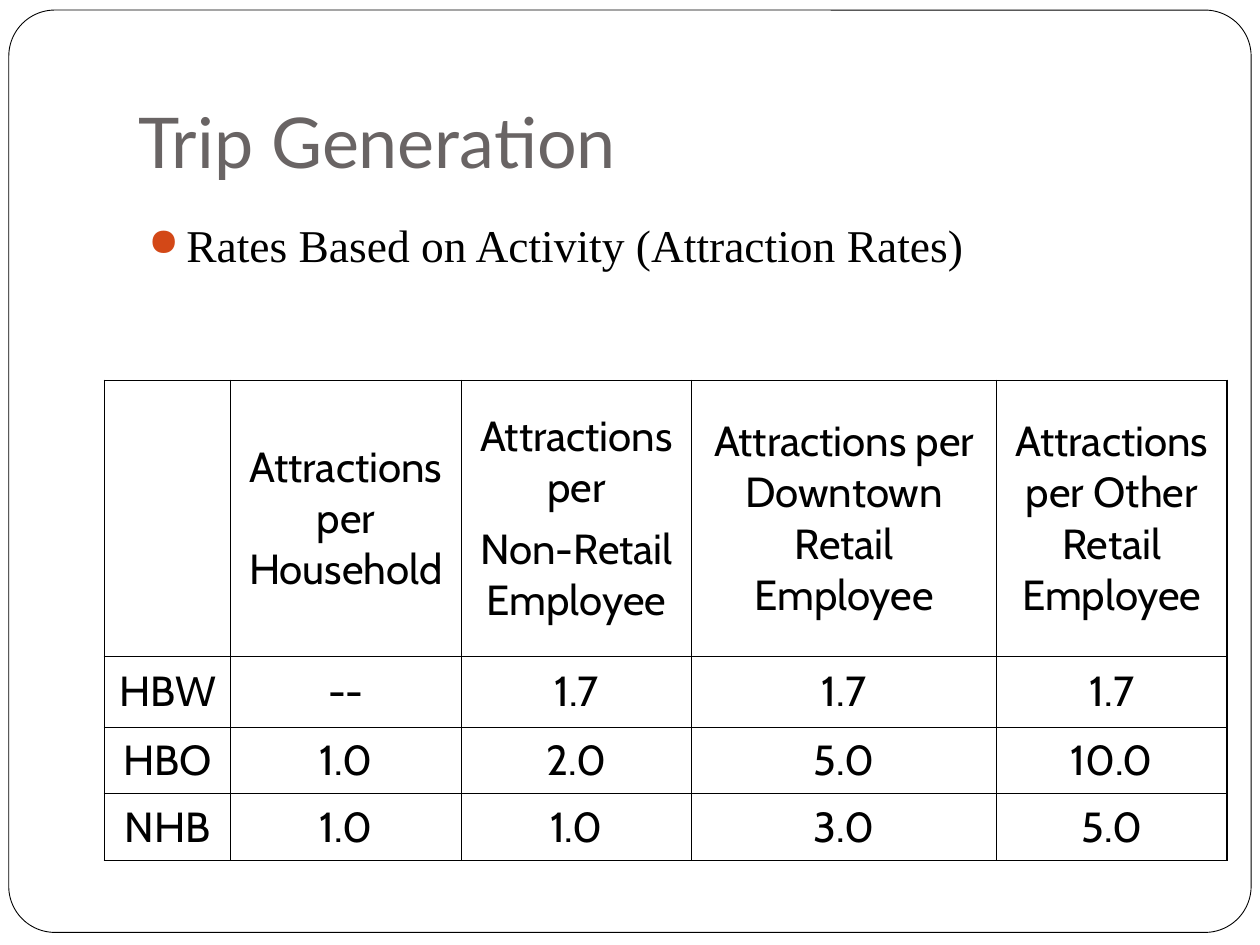
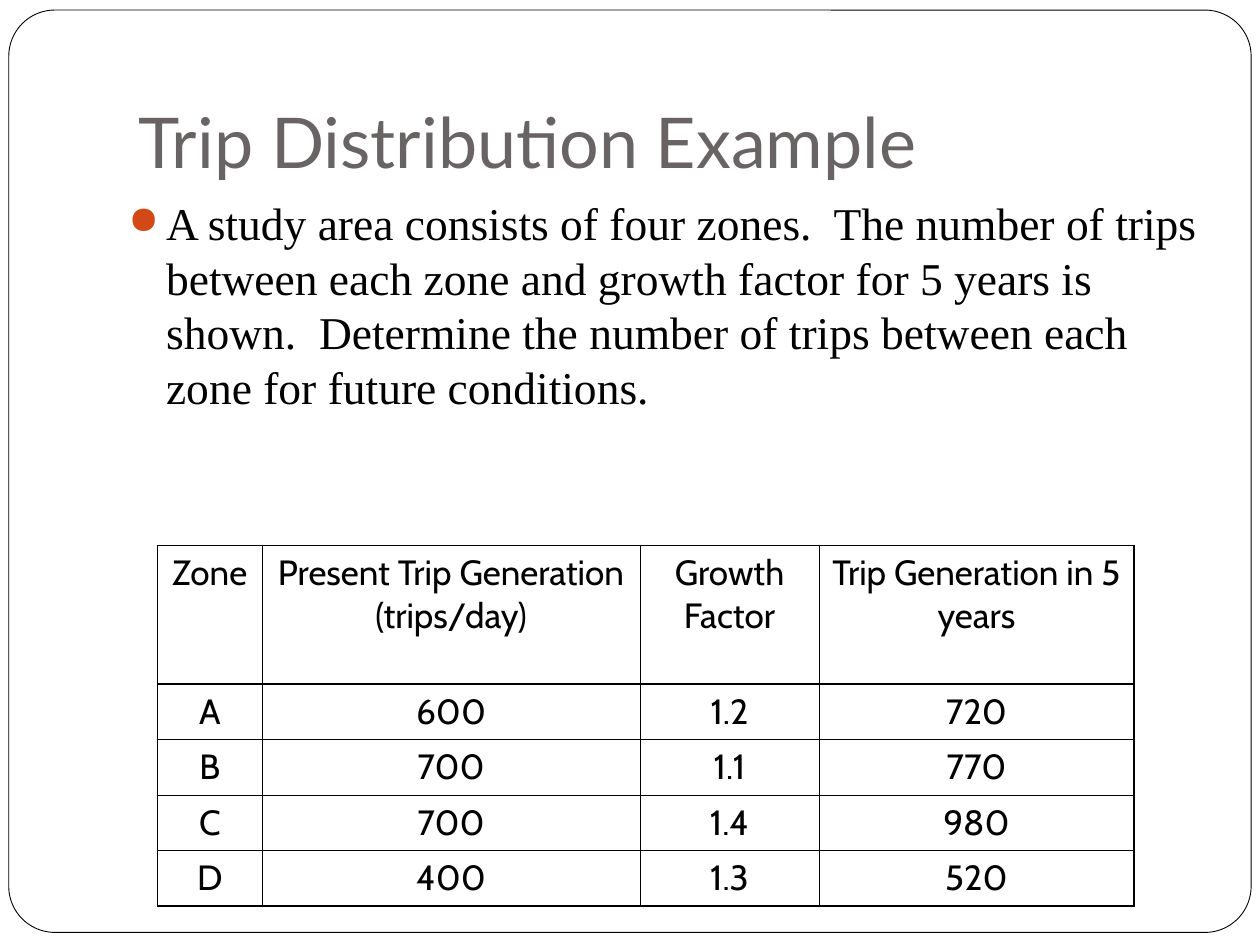
from lxml import etree
from pptx import Presentation
from pptx.dml.color import RGBColor as RGB
from pptx.enum.shapes import MSO_SHAPE as SHAPE
from pptx.enum.text import MSO_ANCHOR as ANCHOR, PP_ALIGN as ALIGN
from pptx.oxml.ns import qn
from pptx.util import Inches, Pt

COLORS = {"page": "FFFFFF", "ink": "000000", "title": "696464", "bullet": "D34817"}
THIN, OUTER = 0.45, 1.08

SLIDES = [
    {
        "title": "Trip Generation",
        "body": "Rates Based on Activity (Attraction Rates)",
        "body_at": (1.08, 1.67, 8.25, 1.25),
        "table_at": (0.83, 3.02),
        "cols": [1, 1.83, 1.83, 2.42, 1.83],
        "rows": [2.19, 0.56, 0.53, 0.53],
        "size": 24, "space": 6, "anchor": ANCHOR.MIDDLE, "header_rule": THIN,
        "cells": [
            ["", "Attractions per Household", "Attractions per\nNon-Retail Employee",
             "Attractions per Downtown Retail Employee",
             "Attractions per Other Retail Employee"],
            ["HBW", "--", "1.7", "1.7", "1.7"],
            ["HBO", "1.0", "2.0", "5.0", "10.0"],
            ["NHB", "1.0", "1.0", "3.0", "5.0"],
        ],
    },
    {
        "title": "Trip Distribution Example",
        "body": "A study area consists of four zones.  The number of trips between each "
                "zone and growth factor for 5 years is shown.  Determine the number of "
                "trips between each zone for future conditions.",
        "body_at": (0.92, 1.5, 8.83, 4.5),
        "table_at": (1.25, 4.33),
        "cols": [0.83, 3, 1.42, 2.5],
        "rows": [1.1] + [0.44] * 4,
        "size": 20, "space": 5, "anchor": ANCHOR.TOP, "header_rule": 1.47,
        "cells": [
            ["Zone", "Present Trip Generation (trips/day)", "Growth Factor",
             "Trip Generation in 5 years"],
            ["A", "600", "1.2", "720"],
            ["B", "700", "1.1", "770"],
            ["C", "700", "1.4", "980"],
            ["D", "400", "1.3", "520"],
        ],
    },
]


def add_run(p, text, font, size, color):
    r = p.add_run()
    r.text = text
    r.font.name = font
    r.font.size = Pt(size)
    r.font.color.rgb = RGB.from_string(COLORS[color])


def add_borders(cell, widths):
    """Draw the cell edges; widths maps L, R, T, B (in that order) to points."""
    tcPr = cell._tc.get_or_add_tcPr()
    for side, width in widths.items():
        ln = etree.SubElement(tcPr, qn(f"a:ln{side}"), w=str(Pt(width)))
        fill = etree.SubElement(ln, qn("a:solidFill"))
        etree.SubElement(fill, qn("a:srgbClr"), val=COLORS["ink"])


prs = Presentation()
prs.slide_width, prs.slide_height = Inches(10), Inches(7.5)

for data in SLIDES:
    s = prs.slides.add_slide(prs.slide_layouts[6])

    # Rounded page frame
    sp = s.shapes.add_shape(SHAPE.ROUNDED_RECTANGLE, Inches(0.07), Inches(0.08),
                            Inches(9.86), Inches(7.32))
    sp.adjustments[0] = 0.05
    sp.shadow.inherit = False
    sp.fill.solid()
    sp.fill.fore_color.rgb = RGB.from_string(COLORS["page"])
    sp.line.color.rgb = RGB.from_string(COLORS["ink"])
    sp.line.width = Pt(0.5)

    # Title
    tf = s.shapes.add_textbox(Inches(1), Inches(0.3), Inches(8.5), Inches(1.25)).text_frame
    tf.word_wrap = True
    tf.vertical_anchor = ANCHOR.BOTTOM
    tf.margin_bottom = Inches(0.1)
    add_run(tf.paragraphs[0], data["title"], "Lato", 40, "title")

    # Bulleted text
    tf = s.shapes.add_textbox(*map(Inches, data["body_at"])).text_frame
    tf.word_wrap = True
    p = tf.paragraphs[0]
    pPr = p._p.get_or_add_pPr()
    pPr.set("marL", str(Inches(0.3)))
    pPr.set("indent", str(-Inches(0.3)))
    bullet_color = etree.SubElement(pPr, qn("a:buClr"))
    etree.SubElement(bullet_color, qn("a:srgbClr"), val=COLORS["bullet"])
    etree.SubElement(pPr, qn("a:buSzPct"), val="85000")
    etree.SubElement(pPr, qn("a:buChar"), char="●")
    add_run(p, data["body"], "Times New Roman", 26, "ink")

    # Table
    cols, rows = data["cols"], data["rows"]
    left, top = data["table_at"]
    table = s.shapes.add_table(len(rows), len(cols), Inches(left), Inches(top),
                               Inches(sum(cols)), Inches(sum(rows))).table
    table.first_row = table.horz_banding = False
    for column, width in zip(table.columns, cols):
        column.width = Inches(width)
    for row, height in zip(table.rows, rows):
        row.height = Inches(height)

    row_rules = [OUTER, data["header_rule"]] + [THIN] * (len(rows) - 2) + [OUTER]
    col_rules = [OUTER] + [THIN] * (len(cols) - 1) + [OUTER]
    for i, texts in enumerate(data["cells"]):
        for j, text in enumerate(texts):
            cell = table.cell(i, j)
            add_borders(cell, {"L": col_rules[j], "R": col_rules[j + 1],
                               "T": row_rules[i], "B": row_rules[i + 1]})
            cell.fill.background()
            cell.vertical_anchor = data["anchor"]
            if not text:
                continue
            tf = cell.text_frame
            for k, line in enumerate(text.split("\n")):
                p = tf.add_paragraph() if k else tf.paragraphs[0]
                p.alignment = ALIGN.CENTER
                if k:
                    p.space_before = Pt(data["space"])
                add_run(p, line, "Cabin", data["size"], "ink")

prs.save("out.pptx")
